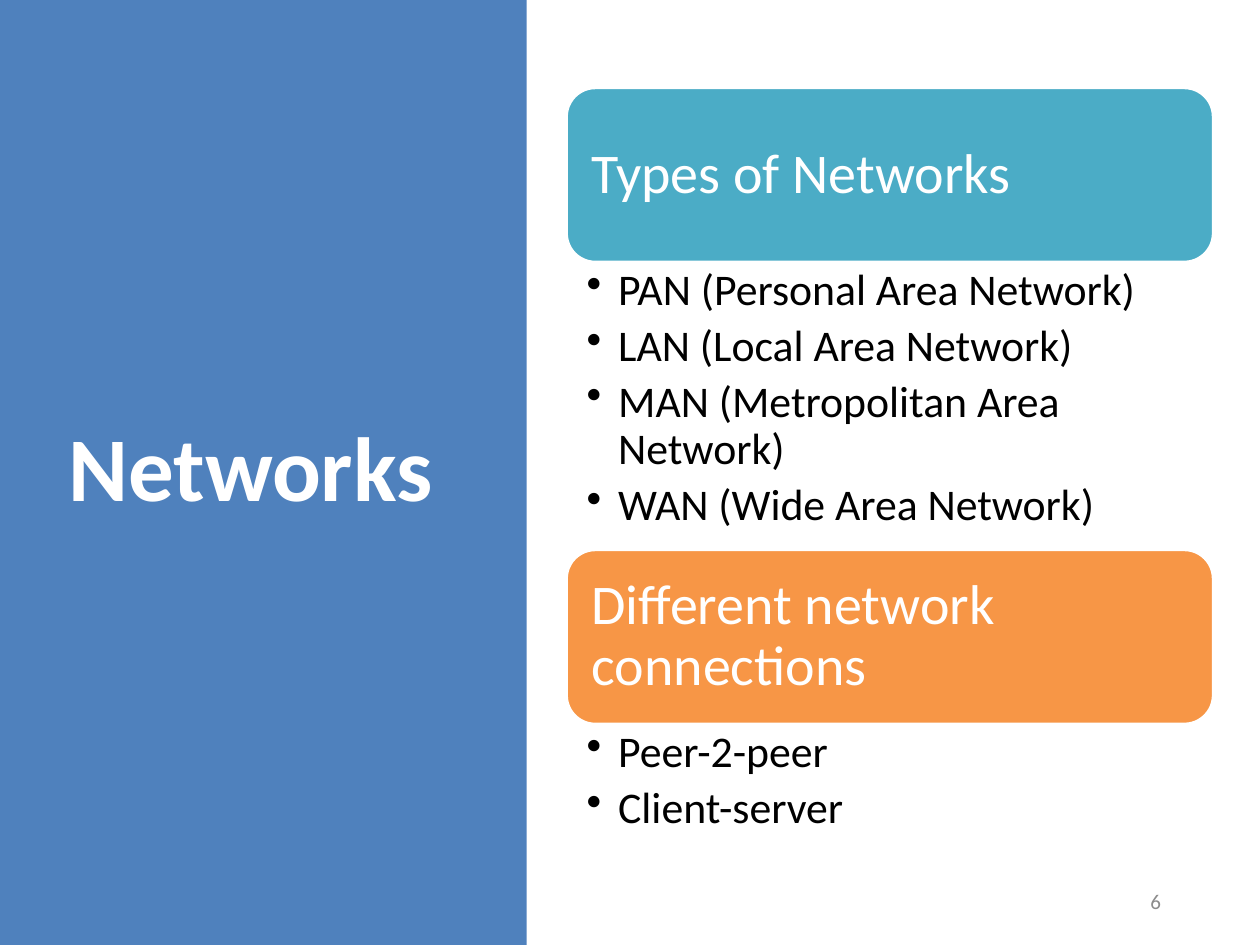
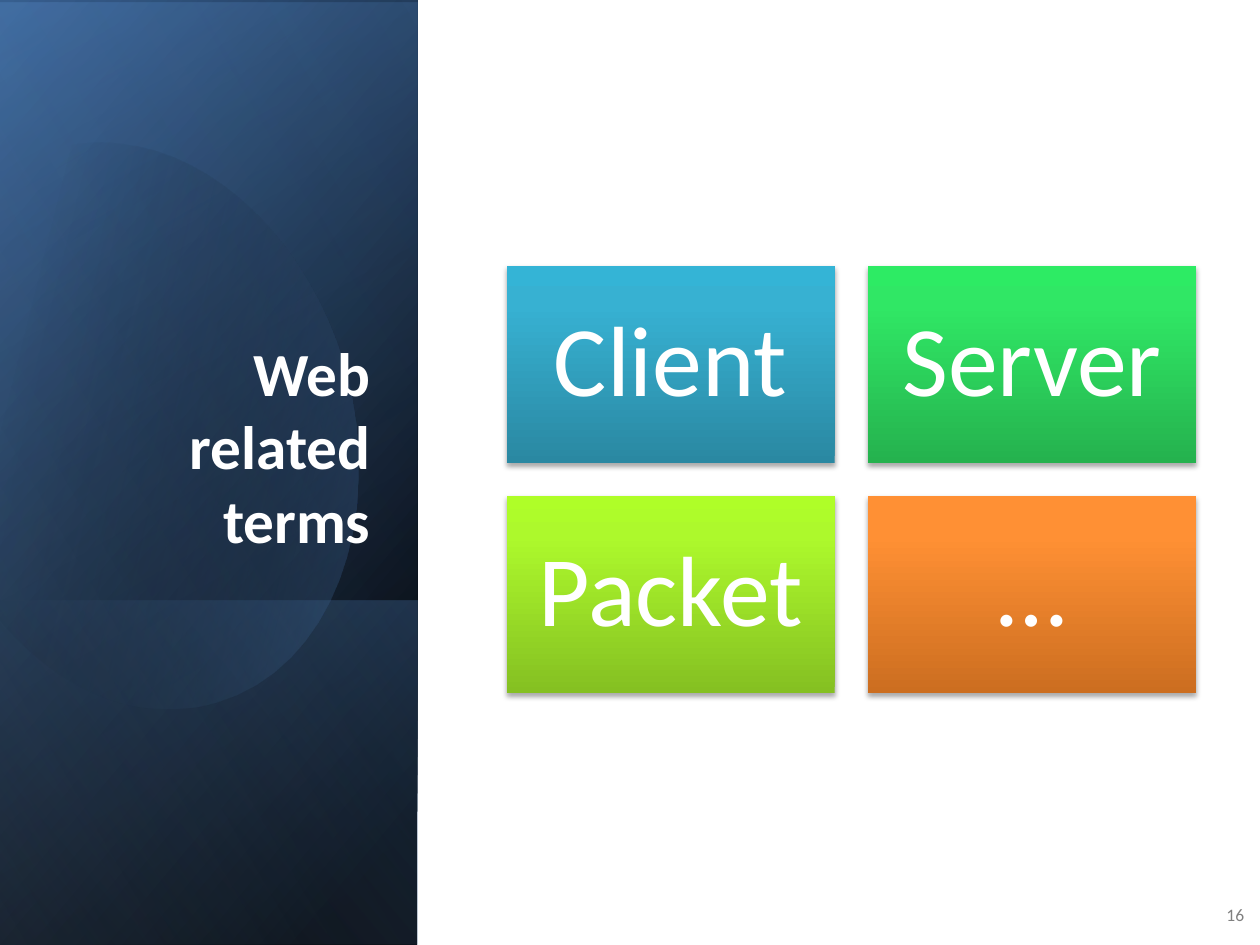
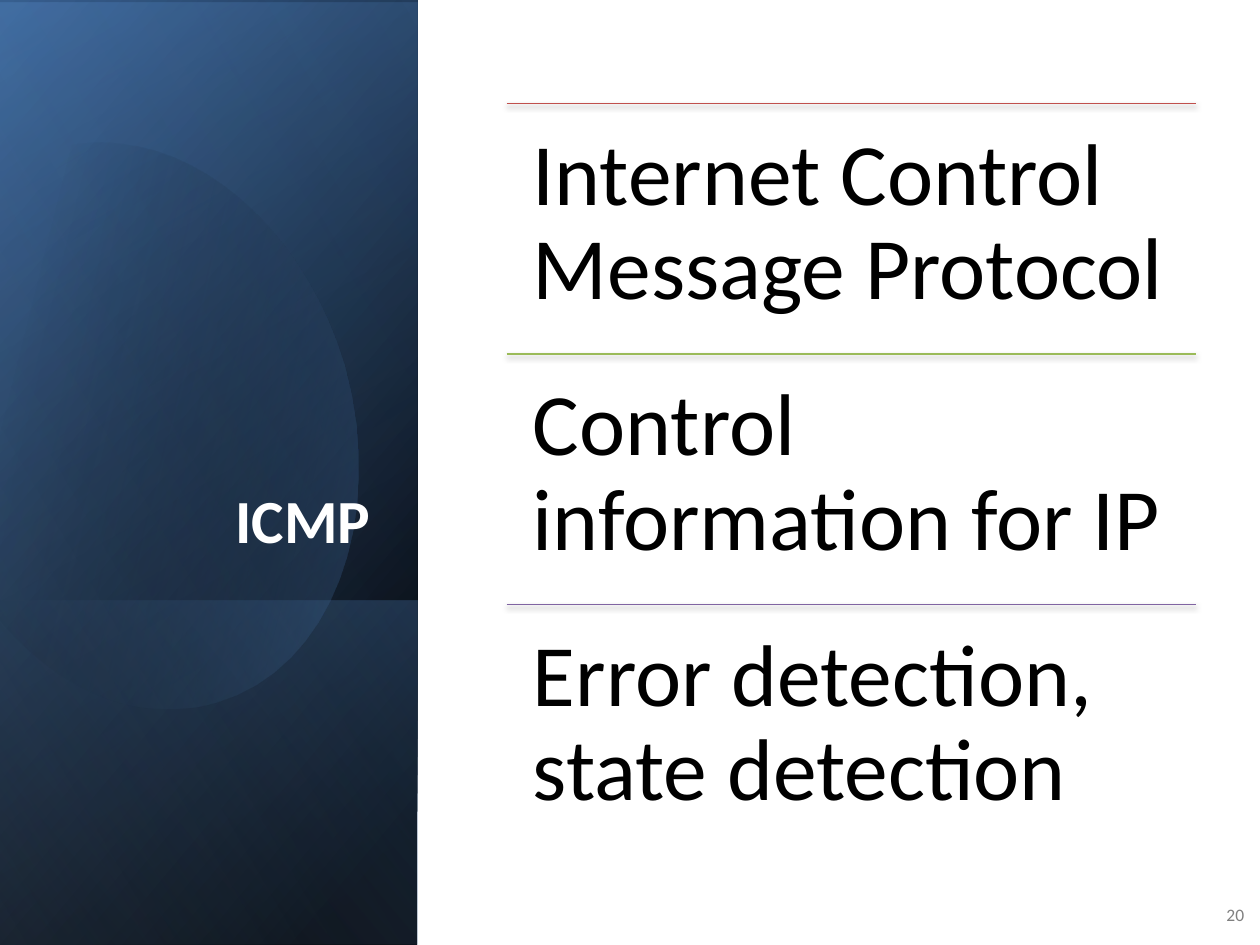
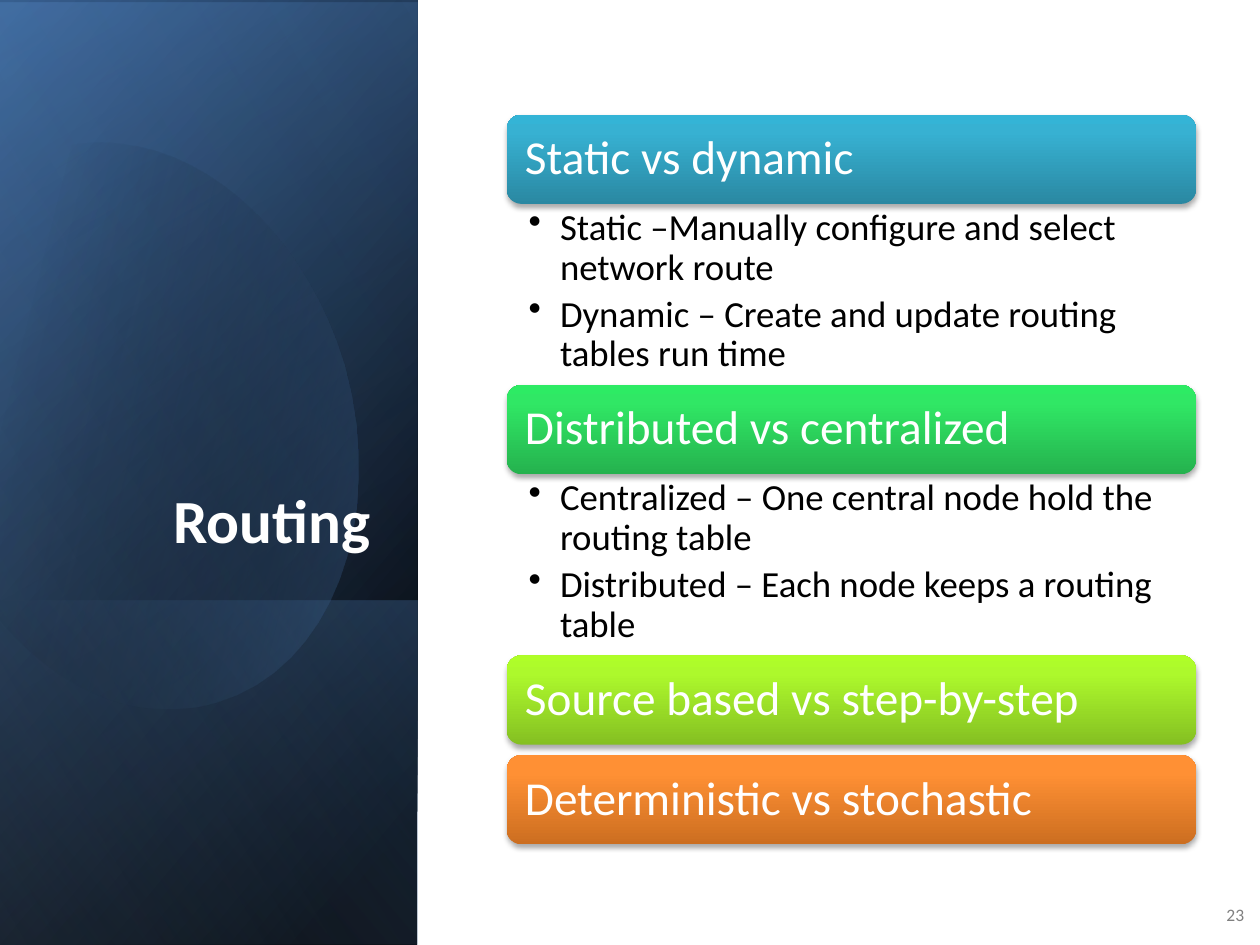
"""Builds four network lecture slides with a coloured title panel and a diagram."""
from dataclasses import dataclass
from typing import Any, NamedTuple, Optional

import lxml.etree
import pptx
import pptx.dml.color
import pptx.enum.shapes
import pptx.enum.text
import pptx.oxml.ns
import pptx.util

Pt = pptx.util.Pt
qn = pptx.oxml.ns.qn
ALIGN = pptx.enum.text.PP_ALIGN
ANCHOR = pptx.enum.text.MSO_ANCHOR
SHAPE = pptx.enum.shapes.MSO_SHAPE

FONT = "Calibri"
SLIDE_WIDTH, SLIDE_HEIGHT = 720, 540
PANEL_WIDTH = 238.5
DIAGRAM_LEFT, DIAGRAM_WIDTH = 289.5, 394

COLORS = {
    "white": "FFFFFF", "black": "000000", "blue": "4F81BD", "navy": "376092",
    "pale_blue": "95B3D7", "aqua": "4BACC6", "orange": "F79646", "red": "C0504D",
    "green": "9BBB59", "purple": "8064A2", "number": "8C8C8C", "small_number": "808080",
    "aqua_dark": "2A88A2", "aqua_mid": "37B1D2", "aqua_light": "34B4D6",
    "emerald_dark": "25B24E", "emerald_mid": "30E765", "emerald_light": "2DEB64",
    "lime_dark": "85C022", "lime_mid": "ADF92C", "lime_light": "AFFE28",
    "tangerine_dark": "CC6E20", "tangerine_mid": "FF9034", "tangerine_light": "FF9136",
}


class Box(NamedTuple):
    left: float
    top: float
    width: float
    height: float


class Insets(NamedTuple):
    left: float
    top: float
    right: float
    bottom: float


class Stop(NamedTuple):
    position: int
    color: str
    opacity: int = 100


@dataclass(frozen=True)
class TextStyle:
    size: float
    color: str
    align: Any = ALIGN.LEFT
    anchor: Any = ANCHOR.MIDDLE
    insets: Insets = Insets(7.2, 3.6, 7.2, 3.6)
    bold: bool = False
    line_spacing: Optional[float] = None
    bullets: bool = False


@dataclass(frozen=True)
class PanelLayer:
    top: float
    height: float
    angle: int
    stops: tuple[Stop, ...]


@dataclass(frozen=True)
class Section:
    heading: str
    color: str
    space_below: float
    items: tuple[str, ...] = ()


@dataclass(frozen=True)
class StackStyle:
    left: float
    top: float
    width: float
    heading_height: float
    heading: TextStyle
    items: TextStyle
    glossy: bool


BACK_LAYERS = (
    PanelLayer(0, SLIDE_HEIGHT, 50, (Stop(8, "black"), Stop(100, "navy"))),
    PanelLayer(1.5, SLIDE_HEIGHT, 30, (Stop(0, "black", 0), Stop(99, "blue", 46))),
    PanelLayer(343, 197, 130, (Stop(2, "blue", 29), Stop(100, "black", 30))),
)
FRONT_LAYER = PanelLayer(0, SLIDE_HEIGHT, 120, (Stop(0, "black", 0), Stop(99, "pale_blue", 11)))

BLOB_ROTATION = 343.9
BLOB_STOPS = (Stop(29, "black", 0), Stop(100, "blue", 43))
BLOB_START = (113.8, 83.9)
BLOB_SEGMENTS = (
    ((164.1, 104.2), (200.6, 167.3), (201.1, 240.8)),
    ((200.2, 332), (145.4, 405.4), (77.3, 405.1)),
    ((34.4, 405.5), (-3, 376.8), (-24.8, 332.9)),
    ((-29.4, 322.7),),
    ((19.7, 95.5),),
    ((29, 89.2),),
    ((44.2, 80.9), (60.4, 76.5), (77.7, 76.3)),
    ((90.4, 76.2), (102.5, 78.9), BLOB_START),
)

WIDE_TITLE = TextStyle(52, "white", ALIGN.CENTER, bold=True)
PANEL_TITLE = TextStyle(35, "white", ALIGN.RIGHT, ANCHOR.BOTTOM, bold=True)
TILE_TEXT = TextStyle(57, "white", ALIGN.CENTER, insets=Insets(17, 17, 17, 17), line_spacing=0.9)
STATEMENT_TEXT = TextStyle(50, "black", anchor=ANCHOR.TOP, insets=Insets(15, 15, 15, 15),
                           line_spacing=0.9)

NETWORK_STACK = StackStyle(
    323.5, 50, 370, 100,
    TextStyle(32, "white", insets=Insets(9.6, 9.6, 9.6, 9.6), line_spacing=0.9),
    TextStyle(25, "black", anchor=ANCHOR.TOP, insets=Insets(11.75, 3, 18, 3),
              line_spacing=0.9, bullets=True),
    glossy=False)
ROUTING_STACK = StackStyle(
    DIAGRAM_LEFT, 65.5, DIAGRAM_WIDTH, 51,
    TextStyle(27, "white", insets=Insets(8, 8, 8, 8), line_spacing=0.9),
    TextStyle(21, "black", anchor=ANCHOR.TOP, insets=Insets(12.5, 2.7, 15, 2.7),
              line_spacing=0.9, bullets=True),
    glossy=True)

NETWORK_SECTIONS = (
    Section("Types of Networks", "aqua", 164, (
        "PAN (Personal Area Network)", "LAN (Local Area Network)",
        "MAN (Metropolitan Area Network)", "WAN (Wide Area Network)")),
    Section("Different network connections", "orange", 68, ("Peer-2-peer", "Client-server")),
)
ROUTING_SECTIONS = (
    Section("Static vs dynamic", "aqua", 103.5, (
        "Static –Manually configure and select network route",
        "Dynamic – Create and update routing tables run time")),
    Section("Distributed vs centralized", "emerald", 103.5, (
        "Centralized – One central node hold the routing table",
        "Distributed – Each node keeps a routing table")),
    Section("Source based vs step-by-step", "lime", 6),
    Section("Deterministic vs stochastic", "tangerine", 0),
)
TILES = (("Client", "aqua"), ("Server", "emerald"), ("Packet", "lime"), ("…", "tangerine"))
STATEMENTS = (
    ("Internet Control Message Protocol", "red"),
    ("Control information for IP", "green"),
    ("Error detection, state detection", "purple"),
)


def rgb(name: str) -> pptx.dml.color.RGBColor:
    return pptx.dml.color.RGBColor.from_string(COLORS[name])


def add_color_element(parent: Any, name: str, opacity: int) -> None:
    color = lxml.etree.SubElement(parent, qn("a:srgbClr"), val=COLORS[name])
    if opacity < 100:
        lxml.etree.SubElement(color, qn("a:alpha"), val=str(opacity * 1000))


def fill_gradient(shape: Any, stops: tuple[Stop, ...], angle: int) -> None:
    shape.fill.gradient()
    gradient = shape._element.spPr.find(qn("a:gradFill"))
    gradient.clear()
    gradient.set("rotWithShape", "1")
    stop_list = lxml.etree.SubElement(gradient, qn("a:gsLst"))
    for stop in stops:
        element = lxml.etree.SubElement(stop_list, qn("a:gs"), pos=str(stop.position * 1000))
        add_color_element(element, stop.color, stop.opacity)
    lxml.etree.SubElement(gradient, qn("a:lin"), ang=str(angle * 60000), scaled="0")


def fill_glossy(shape: Any, color: str) -> None:
    stops = (Stop(0, f"{color}_dark"), Stop(80, f"{color}_mid"), Stop(100, f"{color}_light"))
    fill_gradient(shape, stops, 270)
    add_soft_shadow(shape._element.spPr.find(qn("a:effectLst")))


def add_soft_shadow(effects: Any) -> None:
    shadow = lxml.etree.SubElement(
        effects, qn("a:outerShdw"), blurRad=str(Pt(3.1)), dist=str(Pt(1.8)),
        dir="5400000", rotWithShape="0")
    add_color_element(shadow, "black", 35)


def write_text(shape: Any, lines: tuple[str, ...], style: TextStyle) -> None:
    frame = shape.text_frame
    frame.word_wrap = True
    frame.auto_size = pptx.enum.text.MSO_AUTO_SIZE.NONE
    frame.vertical_anchor = style.anchor
    frame.margin_left, frame.margin_top, frame.margin_right, frame.margin_bottom = map(
        Pt, style.insets)
    frame.text = "\n".join(lines)
    for paragraph in frame.paragraphs:
        paragraph.alignment = style.align
        paragraph.font.name = FONT
        paragraph.font.size = Pt(style.size)
        paragraph.font.bold = style.bold
        paragraph.font.color.rgb = rgb(style.color)
        if style.line_spacing:
            paragraph.line_spacing = style.line_spacing
        if style.bullets:
            paragraph.level = 1
            paragraph.space_after = Pt(style.size * 0.2)
            add_bullet(paragraph)


def add_bullet(paragraph: Any) -> None:
    properties = paragraph._p.get_or_add_pPr()
    properties.set("marL", str(Pt(18)))
    properties.set("indent", str(Pt(-18)))
    bullet = lxml.etree.Element(qn("a:buChar"), char="•")
    properties.find(qn("a:defRPr")).addprevious(bullet)


def add_text(slide: Any, box: Box, lines: tuple[str, ...], style: TextStyle) -> None:
    write_text(slide.shapes.add_textbox(*map(Pt, box)), lines, style)


def add_plain_shape(slide: Any, kind: Any, box: Box) -> Any:
    shape = slide.shapes.add_shape(kind, *map(Pt, box))
    shape.shadow.inherit = False
    shape.line.fill.background()
    return shape


def fill_solid(shape: Any, color: str) -> None:
    shape.fill.solid()
    shape.fill.fore_color.rgb = rgb(color)


def add_panel_layer(slide: Any, layer: PanelLayer) -> None:
    center_x, center_y = PANEL_WIDTH / 2, layer.top + layer.height / 2
    box = Box(center_x - layer.height / 2, center_y - PANEL_WIDTH / 2, layer.height, PANEL_WIDTH)
    shape = add_plain_shape(slide, SHAPE.RECTANGLE, box)
    shape.rotation = 90
    shape._element.spPr.find(qn("a:xfrm")).set("flipH", "1")
    fill_gradient(shape, layer.stops, layer.angle)


def blob_points(steps: int = 16) -> list[tuple[float, float]]:
    points = [BLOB_START]
    for segment in BLOB_SEGMENTS:
        if len(segment) == 1:
            points.append(segment[0])
            continue
        curve = (points[-1], *segment)
        for step in range(1, steps + 1):
            t = step / steps
            weights = ((1 - t) ** 3, 3 * t * (1 - t) ** 2, 3 * t * t * (1 - t), t ** 3)
            points.append((sum(w * p[0] for w, p in zip(weights, curve)),
                           sum(w * p[1] for w, p in zip(weights, curve))))
    return points


def add_blob(slide: Any) -> None:
    points = [(Pt(x), Pt(y)) for x, y in blob_points()]
    builder = slide.shapes.build_freeform(*points[0])
    builder.add_line_segments(points[1:], close=True)
    blob = builder.convert_to_shape()
    blob.shadow.inherit = False
    blob.line.fill.background()
    blob.rotation = BLOB_ROTATION
    fill_gradient(blob, BLOB_STOPS, 30)


def place_title(slide: Any, box: Box, text: str, style: TextStyle) -> None:
    title = slide.shapes.title
    title.left, title.top, title.width, title.height = map(Pt, box)
    write_text(title, (text,), style)
    slide.shapes._spTree.append(title._element)


def add_title_only_slide(presentation: Any) -> Any:
    return presentation.slides.add_slide(presentation.slide_layouts[5])


def add_panel_slide(presentation: Any, title: str, number: str) -> Any:
    slide = add_title_only_slide(presentation)
    for layer in BACK_LAYERS:
        add_panel_layer(slide, layer)
    add_blob(slide)
    add_panel_layer(slide, FRONT_LAYER)
    place_title(slide, Box(34.5, 132.5, 184.5, 188.5), title, PANEL_TITLE)
    add_text(slide, Box(691, 508.5, 27, 28.5), (number,),
             TextStyle(10, "small_number", ALIGN.RIGHT, insets=Insets(0, 3.6, 7.2, 3.6)))
    return slide


def add_stack(slide: Any, sections: tuple[Section, ...], style: StackStyle) -> None:
    top = style.top
    for section in sections:
        heading = add_plain_shape(slide, SHAPE.ROUNDED_RECTANGLE,
                                  Box(style.left, top, style.width, style.heading_height))
        if style.glossy:
            fill_glossy(heading, section.color)
        else:
            fill_solid(heading, section.color)
            heading.line.color.rgb = rgb("white")
            heading.line.width = Pt(2)
        write_text(heading, (section.heading,), style.heading)
        top += style.heading_height
        if section.items:
            add_text(slide, Box(style.left, top, style.width, section.space_below),
                     section.items, style.items)
        top += section.space_below


def add_tiles(slide: Any) -> None:
    width, height, gap, top = 187.5, 112.5, 19, 152
    for index, (label, color) in enumerate(TILES):
        row, column = divmod(index, 2)
        tile = add_plain_shape(slide, SHAPE.RECTANGLE, Box(
            DIAGRAM_LEFT + column * (width + gap), top + row * (height + gap), width, height))
        fill_glossy(tile, color)
        write_text(tile, (label,), TILE_TEXT)


def add_statements(slide: Any) -> None:
    first_top, height = 59, 143.25
    for index, (text, color) in enumerate(STATEMENTS):
        top = first_top + index * height
        rule = slide.shapes.add_connector(
            pptx.enum.shapes.MSO_CONNECTOR.STRAIGHT,
            Pt(DIAGRAM_LEFT), Pt(top), Pt(DIAGRAM_LEFT + DIAGRAM_WIDTH), Pt(top))
        rule.line.color.rgb = rgb(color)
        rule.line.width = Pt(0.75)
        add_soft_shadow(lxml.etree.SubElement(rule._element.spPr, qn("a:effectLst")))
        add_text(slide, Box(DIAGRAM_LEFT, top, DIAGRAM_WIDTH, height), (text,), STATEMENT_TEXT)


def add_networks_slide(presentation: Any) -> None:
    slide = add_title_only_slide(presentation)
    panel = add_plain_shape(slide, SHAPE.RECTANGLE, Box(0, 0, 301, SLIDE_HEIGHT))
    fill_solid(panel, "blue")
    place_title(slide, Box(31, 49, 224.5, 433.5), "Networks", WIDE_TITLE)
    add_text(slide, Box(508.5, 500.5, 162, 28.75), ("6",),
             TextStyle(12, "number", ALIGN.RIGHT))
    add_stack(slide, NETWORK_SECTIONS, NETWORK_STACK)


def main() -> None:
    presentation = pptx.Presentation()
    presentation.slide_width, presentation.slide_height = Pt(SLIDE_WIDTH), Pt(SLIDE_HEIGHT)
    add_networks_slide(presentation)
    add_tiles(add_panel_slide(presentation, "Web related terms", "16"))
    add_statements(add_panel_slide(presentation, "ICMP", "20"))
    add_stack(add_panel_slide(presentation, "Routing", "23"), ROUTING_SECTIONS, ROUTING_STACK)
    presentation.save("out.pptx")


if __name__ == "__main__":
    main()
